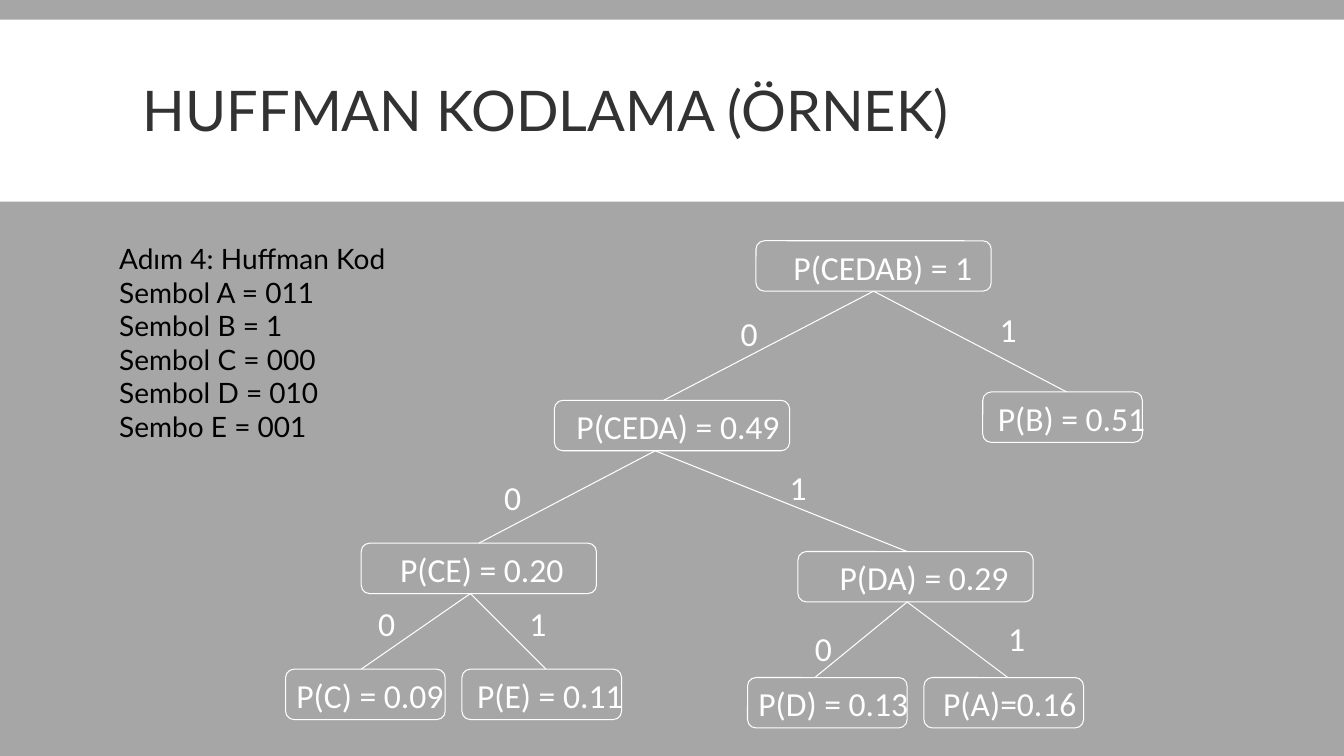
from pptx import Presentation
from pptx.dml.color import RGBColor as Rgb
from pptx.enum.shapes import MSO_CONNECTOR as Link, MSO_SHAPE as Form
from pptx.enum.text import MSO_ANCHOR as Anchor, PP_ALIGN as Align
from pptx.oxml.ns import qn
from pptx.util import Pt
from lxml.etree import SubElement

HUES = {"back": "A6A6A6", "white": "FFFFFF", "title": "323232", "code": "000000"}
HIGH = 36   # height of a node
WIDE, SLIM = 168, 114

# Node: text, left, top, width, text indent, x where the upper and lower lines meet it
NODES = {
    "CEDAB": ("P(CEDAB) = 1", 336, 0, WIDE, 25, 84, 84),
    "CEDA": ("P(CEDA) = 0.49", 192, 114, WIDE, 14, 78, 72),
    "B": ("P(B) = 0.51", 498, 108, SLIM, 9, 60, 60),
    "CE": ("P(CE) = 0.20", 54, 216, WIDE, 26, 84, 78),
    "DA": ("P(DA) = 0.29", 366, 222, WIDE, 28, 78, 78),
    "C": ("P(C) = 0.09", 0, 306, SLIM, 6, 54, 54),
    "E": ("P(E) = 0.11", 126, 306, SLIM, 9, 60, 60),
    "D": ("P(D) = 0.13", 330, 312, SLIM, 6, 48, 48),
    "A": ("P(A)=0.16", 456, 312, SLIM, 12, 60, 60),
}
# Branch: parent, child, bit, left and top of the bit
LINKS = [
    ("CEDAB", "CEDA", "0", 318, 48), ("CEDAB", "B", "1", 503, 45),
    ("CEDA", "CE", "0", 149, 165), ("CEDA", "DA", "1", 353, 158),
    ("CE", "C", "0", 59, 255), ("CE", "E", "1", 167, 255),
    ("DA", "D", "0", 371, 273), ("DA", "A", "1", 509, 266),
]
CODES = ["Adım 4: Huffman Kod", "Sembol A = 011", "Sembol B = 1",
         "Sembol C = 000", "Sembol D = 010", "Sembo E = 001"]


def hue(name):
    return Rgb.from_string(HUES[name])


def write(frame, lines, face, size, tint, wrap=True):
    frame.word_wrap = wrap
    for i, line in enumerate(lines):
        para = frame.add_paragraph() if i else frame.paragraphs[0]
        para.text = line
        para.alignment = Align.LEFT
        font = para.font
        font.name, font.size = face, Pt(size)
        font.color.rgb = hue(tint)


def add_text(slide, box, *style, **kind):
    frame = slide.shapes.add_textbox(*map(Pt, box)).text_frame
    write(frame, *style, **kind)
    return frame


def add_head(slide, box):
    left, top, width, high = box
    # White band
    band = slide.shapes.add_shape(Form.RECTANGLE, *map(Pt, box))
    band.shadow.inherit = False
    band.fill.solid()
    band.fill.fore_color.rgb = hue("white")
    band.line.fill.background()
    # Title
    frame = add_text(slide, (left + 95, top + 8, 770, high - 11),
                     ["HUFFMAN KODLAMA (ÖRNEK)"], "Lato", 40, "title")
    frame.vertical_anchor = Anchor.MIDDLE
    frame.paragraphs[0].line_spacing = 0.85


def add_codes(slide, box):
    add_text(slide, box, CODES, "Lato", 20, "code")


def add_node(slide, box, text, indent):
    node = slide.shapes.add_shape(Form.ROUNDED_RECTANGLE, *map(Pt, box))
    node.shadow.inherit = False
    node.fill.background()
    node.line.color.rgb = hue("white")
    node.line.width = Pt(0.75)
    frame = node.text_frame
    write(frame, [text], "Calibri", 24, "white", wrap=False)
    frame.vertical_anchor = Anchor.MIDDLE
    frame.margin_left = Pt(indent)
    frame.margin_right = frame.margin_bottom = Pt(0)
    frame.margin_top = Pt(1)


def add_tree(slide, box):
    left, top = box[:2]
    # Nodes
    for text, x, y, width, indent, _, _ in NODES.values():
        add_node(slide, (left + x, top + y, width, HIGH), text, indent)
    # Branches with their bits
    for upper, lower, bit, x, y in LINKS:
        _, ux, uy, _, _, _, foot = NODES[upper]
        _, lx, ly, _, _, head, _ = NODES[lower]
        ends = left + ux + foot, top + uy + HIGH, left + lx + head, top + ly
        line = slide.shapes.add_connector(Link.STRAIGHT, *map(Pt, ends))
        line.line.color.rgb = hue("white")
        line.line.width = Pt(0.75)
        SubElement(line._element.spPr, qn("a:effectLst"))
        add_text(slide, (left + x, top + y, 27, HIGH), [bit],
                 "Calibri", 24, "white", wrap=False)


deck = Presentation()
deck.slide_width, deck.slide_height = Pt(960), Pt(540)
slide = deck.slides.add_slide(deck.slide_layouts[6])
slide.background.fill.solid()
slide.background.fill.fore_color.rgb = hue("back")
add_head(slide, (0, 14, 960, 130))
add_tree(slide, (204, 172, 612, 348))
add_codes(slide, (78, 169, 264, 177))
deck.save("out.pptx")
